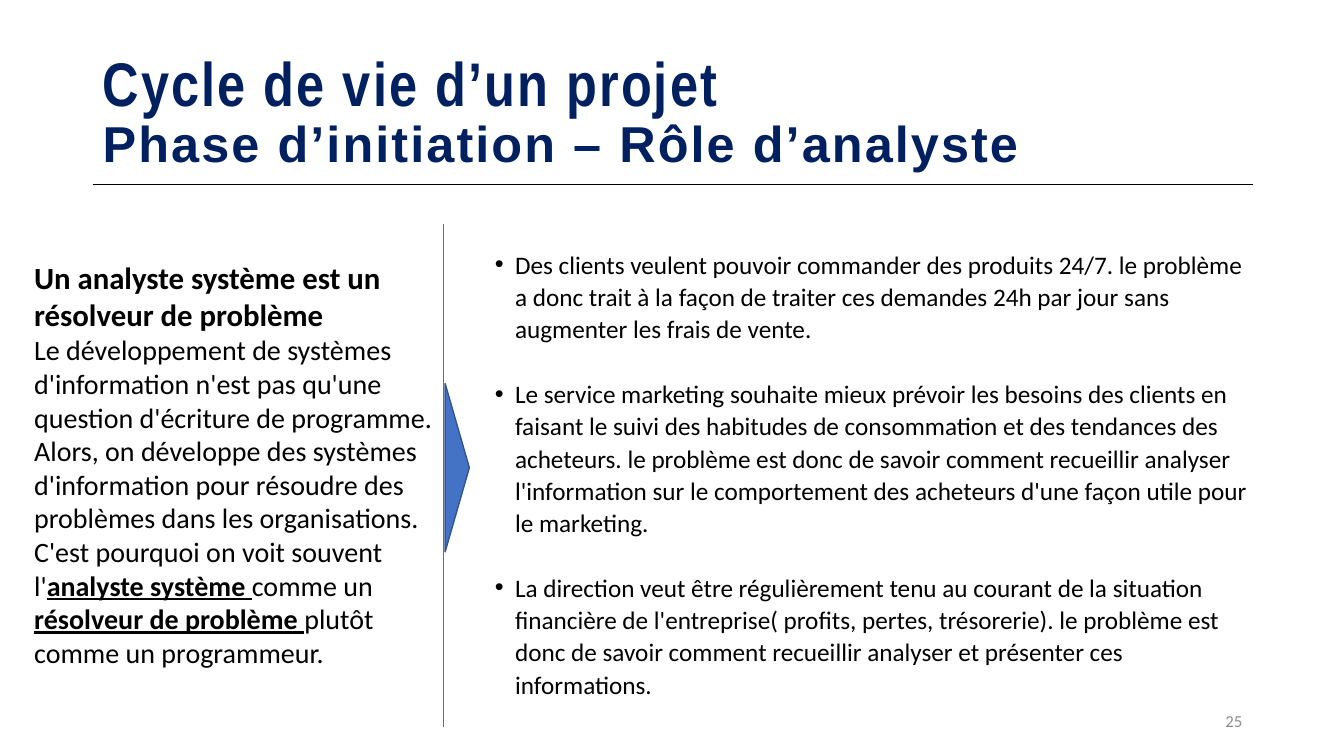
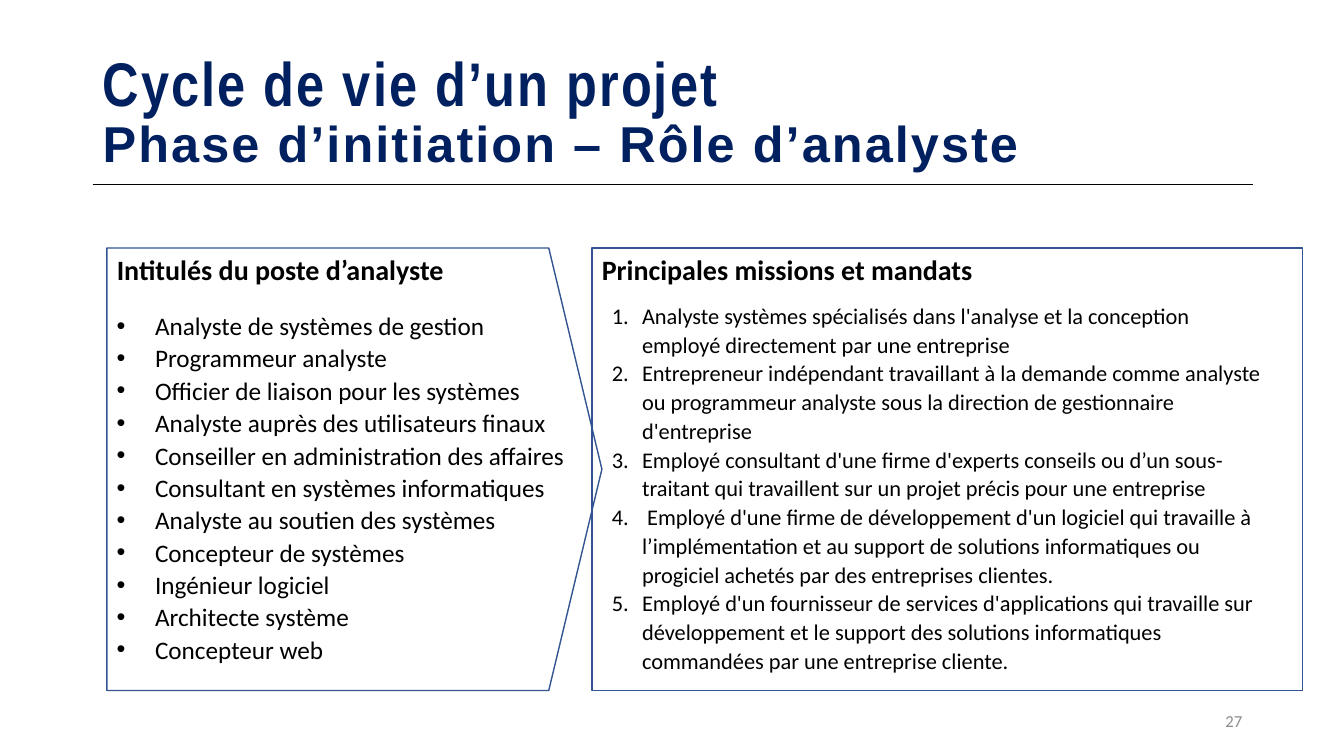
from lxml import etree
from pptx import Presentation
from pptx.dml.color import RGBColor
from pptx.enum.shapes import MSO_CONNECTOR, MSO_SHAPE
from pptx.enum.text import MSO_ANCHOR as ANCHOR, PP_ALIGN as ALIGN
from pptx.oxml.ns import qn
from pptx.util import Pt

PX = 9144  # 100 px to the inch
COLORS = {"title": "002060", "text": "000000", "number": "8C8C8C",
          "rule": "000000", "accent": "4472C4", "edge": "325491"}
RGB = {name: RGBColor.from_string(code) for name, code in COLORS.items()}


def fill_text(frame, text, size, color="text", bold=None):
    """Write lines of Calibri into a frame, aligned top left."""
    frame.word_wrap = True
    frame.vertical_anchor = ANCHOR.TOP
    frame.text = text
    for para in frame.paragraphs:
        para.alignment = ALIGN.LEFT
        for run in para.runs:
            font = run.font
            font.name, font.size, font.bold = "Calibri", Pt(size), bold
            font.color.rgb = RGB[color]


def add_list(slide, box, items, size, indent, gap=0, numbered=False):
    frame = slide.shapes.add_textbox(*[v * PX for v in box]).text_frame
    fill_text(frame, "\n".join(items), size)
    for i, para in enumerate(frame.paragraphs):
        props = para._p.get_or_add_pPr()
        props.set("marL", str(indent * PX))
        props.set("indent", str(-indent * PX))
        if numbered:
            etree.SubElement(props, qn("a:buAutoNum"), type="arabicPeriod")
        else:
            etree.SubElement(props, qn("a:buFont"), typeface="Arial")
            etree.SubElement(props, qn("a:buChar"), char="•")
        para.line_spacing = 1.07
        if i and gap:
            para.space_before = Pt(gap)


deck = Presentation()
deck.slide_width, deck.slide_height = 1333 * PX, 750 * PX
blank = deck.slide_layouts[6]

# Shared frame: title, rule and page number; the first slide adds a divider
slides = []
for number, lines in (
    ("25", [(92, 183, 1243, 183, "rule"), (440, 222, 440, 721, "accent")]),
    ("27", [(92, 183, 1243, 183, "rule")]),
):
    slide = deck.slides.add_slide(blank)
    slides.append(slide)
    for *ends, color in lines:
        line = slide.shapes.add_connector(MSO_CONNECTOR.STRAIGHT, *[v * PX for v in ends])
        line.line.color.rgb = RGB[color]
        line.line.width = Pt(0.5)
        etree.SubElement(line._element.spPr, qn("a:effectLst"))

    title = slide.shapes.add_textbox(92 * PX, 40 * PX, 1150 * PX, 145 * PX).text_frame
    fill_text(title, "Cycle de vie d’un projet\vPhase d’initiation – Rôle d’analyste", 36, "title", True)
    title.vertical_anchor = ANCHOR.MIDDLE
    head = title.paragraphs[0]
    head.line_spacing = 0.9
    for run, face, size in zip(head.runs, ("Arial Narrow", "Arial"), (44, 36)):
        run.font.name, run.font.size = face, Pt(size)
        run.font._element.set("spc", "150")

    page = slide.shapes.add_textbox(942 * PX, 695 * PX, 300 * PX, 40 * PX).text_frame
    fill_text(page, number, 12, "number")
    page.vertical_anchor = ANCHOR.MIDDLE
    page.paragraphs[0].alignment = ALIGN.RIGHT

solver, jobs = slides

# Slide 1: the analyst as a problem solver
arrow = solver.shapes.add_shape(MSO_SHAPE.ISOSCELES_TRIANGLE, 370 * PX, 452 * PX, 167 * PX, 24 * PX)
arrow.rotation = 90
arrow.shadow.inherit = False
arrow.fill.solid()
arrow.fill.fore_color.rgb = RGB["accent"]
arrow.line.color.rgb = RGB["edge"]
arrow.line.width = Pt(1)

role = solver.shapes.add_textbox(24 * PX, 252 * PX, 415 * PX, 451 * PX).text_frame
fill_text(role, "Un analyste système est un résolveur de problème\n", 22, bold=True)
body = role.paragraphs[1]
for text, key in (
    ("Le développement de systèmes d'information n'est pas qu'une question d'écriture de programme. "
     "Alors, on développe des systèmes d'information pour résoudre des problèmes dans les organisations. "
     "C'est pourquoi on voit souvent l'", False),
    ("analyste système ", True),
    ("comme un ", False),
    ("résolveur de problème ", True),
    ("plutôt comme un programmeur.", False),
):
    run = body.add_run()
    run.text = text
    font = run.font
    font.name, font.size = "Calibri", Pt(20)
    font.bold = font.underline = key
    font.color.rgb = RGB["text"]

add_list(solver, (481, 240, 775, 462), [
    "Des clients veulent pouvoir commander des produits 24/7. le problème a donc trait à la façon "
    "de traiter ces demandes 24h par jour sans augmenter les frais de vente.",
    "Le service marketing souhaite mieux prévoir les besoins des clients en faisant le suivi des "
    "habitudes de consommation et des tendances des acheteurs. le problème est donc de savoir comment "
    "recueillir analyser l'information sur le comportement des acheteurs d'une façon utile pour le marketing.",
    "La direction veut être régulièrement tenu au courant de la situation financière de l'entreprise"
    "( profits, pertes, trésorerie). le problème est donc de savoir comment recueillir analyser et "
    "présenter ces informations.",
], 18, 20, gap=23)

# Slide 2: job titles and missions
for left, width, point, text in (
    (106, 491, 0.12, "Intitulés du poste d’analyste"),
    (587, 705, 0, "Principales missions et mandats"),
):
    panel = jobs.shapes.add_shape(MSO_SHAPE.PENTAGON, left * PX, 246 * PX, width * PX, 439 * PX)
    panel.adjustments[0] = point
    panel.shadow.inherit = False
    panel.fill.background()
    panel.line.color.rgb = RGB["edge"]
    panel.line.width = Pt(1)
    fill_text(panel.text_frame, text, 20, bold=True)

add_list(jobs, (106, 301, 473, 365), [
    "Analyste de systèmes de gestion",
    "Programmeur analyste",
    "Officier de liaison pour les systèmes",
    "Analyste auprès des utilisateurs finaux",
    "Conseiller en administration des affaires",
    "Consultant en systèmes informatiques",
    "Analyste au soutien des systèmes",
    "Concepteur de systèmes",
    "Ingénieur logiciel",
    "Architecte système",
    "Concepteur web",
], 18, 38)

add_list(jobs, (597, 293, 673, 383), [
    "Analyste systèmes spécialisés dans l'analyse et la conception employé directement par une entreprise",
    "Entrepreneur indépendant travaillant à la demande comme analyste ou programmeur analyste "
    "sous la direction de gestionnaire d'entreprise",
    "Employé consultant d'une firme d'experts conseils ou d’un sous-traitant qui travaillent "
    "sur un projet précis pour une entreprise",
    " Employé d'une firme de développement d'un logiciel qui travaille à l’implémentation et au support "
    "de solutions informatiques ou progiciel achetés par des entreprises clientes.",
    "Employé d'un fournisseur de services d'applications qui travaille sur développement et le support "
    "des solutions informatiques commandées par une entreprise cliente.",
], 16, 30, numbered=True)

deck.save("out.pptx")
